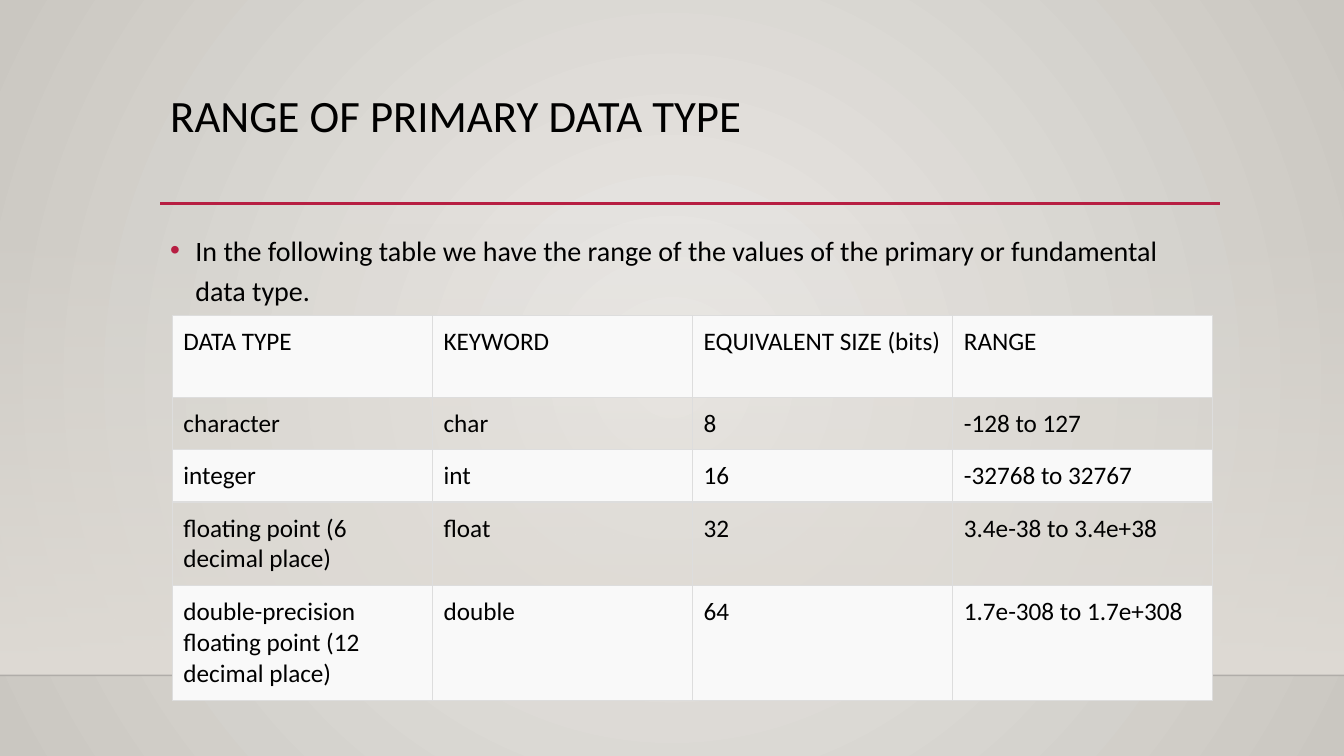
import pptx
import pptx.util
import pptx.dml.color
import pptx.enum.shapes
import pptx.oxml
import pptx.oxml.ns

Inches, Pt = pptx.util.Inches, pptx.util.Pt
RGBColor = pptx.dml.color.RGBColor
qn = pptx.oxml.ns.qn
NS = pptx.oxml.ns.nsdecls("a")

BLACK = RGBColor(0x00, 0x00, 0x00)
RULE_RED = RGBColor(0xB7, 0x1E, 0x42)
BG_CENTRE = RGBColor(0xEC, 0xEA, 0xE7)
BG_EDGE = RGBColor(0xCA, 0xC7, 0xC1)
WALL = RGBColor(0xDF, 0xDB, 0xD5)
FLOOR_LINE = RGBColor(0x00, 0x00, 0x01)
ROW_LIGHT = RGBColor(0xF9, 0xF9, 0xF9)
BORDER = RGBColor(0xDD, 0xDD, 0xDD)


def put_text(tf, text, size, spacing=1.0, before=0, inset=(0.1, 0.05)):
    tf.word_wrap = True
    tf.margin_left = tf.margin_right = Inches(inset[0])
    tf.margin_top = tf.margin_bottom = Inches(inset[1])
    p = tf.paragraphs[0]
    p.line_spacing = spacing
    p.space_before = Pt(before)
    r = p.add_run()
    r.text = text
    r.font.name = "Calibri"
    r.font.size = Pt(size)
    r.font.color.rgb = BLACK
    return p


prs = pptx.Presentation()
prs.slide_width, prs.slide_height = Inches(13.33), Inches(7.5)
s = prs.slides.add_slide(prs.slide_layouts[6])

# Background: radial gradient from the centre
fill = s.background.fill
fill.gradient()
for stop, color in zip(fill.gradient_stops, (BG_CENTRE, BG_EDGE)):
    stop.position = 0 if color == BG_CENTRE else 1
    stop.color.rgb = color
lin = next(s.background._cSld.iter(qn("a:lin")))
lin.getparent().replace(lin, pptx.oxml.parse_xml(
    f'<a:path {NS} path="circle">'
    '<a:fillToRect l="50000" t="50000" r="50000" b="50000"/></a:path>'))

# Wall: fades in from clear to solid, top to bottom
wall = s.shapes.add_shape(pptx.enum.shapes.MSO_SHAPE.RECTANGLE,
                          0, Inches(2.21), Inches(13.33), Inches(4.49))
wall.shadow.inherit = False
wall.line.fill.background()
wall.fill.gradient()
wall.fill.gradient_angle = 270
for position, stop in enumerate(wall.fill.gradient_stops):
    stop.position = position
    stop.color.rgb = WALL
clear = next(wall._element.iter(qn("a:srgbClr")))
clear.append(pptx.oxml.parse_xml(f'<a:alpha {NS} val="0"/>'))

# Floor line and title rule
for x1, x2, y, color, width, opacity in (
        (0, 13.33, 6.7, FLOOR_LINE, 1, 20),
        (1.59, 12.1, 2.02, RULE_RED, 2.5, 100)):
    line = s.shapes.add_connector(pptx.enum.shapes.MSO_CONNECTOR.STRAIGHT,
                                  Inches(x1), Inches(y), Inches(x2), Inches(y))
    line.line.color.rgb = color
    line.line.width = Pt(width)
    if opacity < 100:
        rgb = next(line._element.iter(qn("a:srgbClr")))
        rgb.append(pptx.oxml.parse_xml(f'<a:alpha {NS} val="{opacity * 1000}"/>'))
    line._element.spPr.append(pptx.oxml.parse_xml(f"<a:effectLst {NS}/>"))

# Title
title = s.shapes.add_textbox(Inches(1.59), Inches(0.88), Inches(10.5), Inches(1.15))
put_text(title.text_frame, "RANGE OF PRIMARY DATA TYPE", 32, spacing=0.9)

# Introductory bullet
body = s.shapes.add_textbox(Inches(1.59), Inches(2.2), Inches(10.5), Inches(3.77))
p = put_text(body.text_frame,
             "In the following table we have the range of the values of the "
             "primary or fundamental data type.", 20, spacing=1.2, before=10)
pPr = p._p.get_or_add_pPr()
pPr.set("marL", str(Inches(0.25)))
pPr.set("indent", str(Inches(-0.25)))
for xml in (f'<a:buClr {NS}><a:srgbClr val="{RULE_RED}"/></a:buClr>',
            f'<a:buFont {NS} typeface="Arial"/>',
            f'<a:buChar {NS} char="\u2022"/>'):
    pPr.append(pptx.oxml.parse_xml(xml))

# Data type table
ROWS = (
    ("DATA TYPE", "KEYWORD", "EQUIVALENT SIZE (bits)", "RANGE"),
    ("character", "char", "8", "-128 to 127"),
    ("integer", "int", "16", "-32768 to 32767"),
    ("floating point (6 decimal place)", "float", "32", "3.4e-38 to 3.4e+38"),
    ("double-precision floating point (12 decimal place)", "double", "64",
     "1.7e-308 to 1.7e+308"),
)
HEIGHTS = (0.81, 0.52, 0.52, 0.83, 1.14)
table = s.shapes.add_table(len(ROWS), 4, Inches(1.71), Inches(3.13),
                           Inches(10.31), Inches(sum(HEIGHTS))).table
table.first_row = table.horz_banding = False
for column in table.columns:
    column.width = Inches(2.58)
for i, (row, height) in enumerate(zip(ROWS, HEIGHTS)):
    table.rows[i].height = Inches(height)
    for j, text in enumerate(row):
        cell = table.cell(i, j)
        put_text(cell.text_frame, text, 18)
        cell.margin_left = cell.margin_right = Inches(0.11)
        cell.margin_top = cell.margin_bottom = Inches(0.11)
        if i % 2 == 0:
            cell.fill.solid()
            cell.fill.fore_color.rgb = ROW_LIGHT
        else:
            cell.fill.background()
        tcPr = cell._tc.get_or_add_tcPr()
        for k, side in enumerate("LRTB"):
            tcPr.insert(k, pptx.oxml.parse_xml(
                f'<a:ln{side} {NS} w="{Pt(1)}"><a:solidFill>'
                f'<a:srgbClr val="{BORDER}"/></a:solidFill></a:ln{side}>'))

prs.save("out.pptx")
